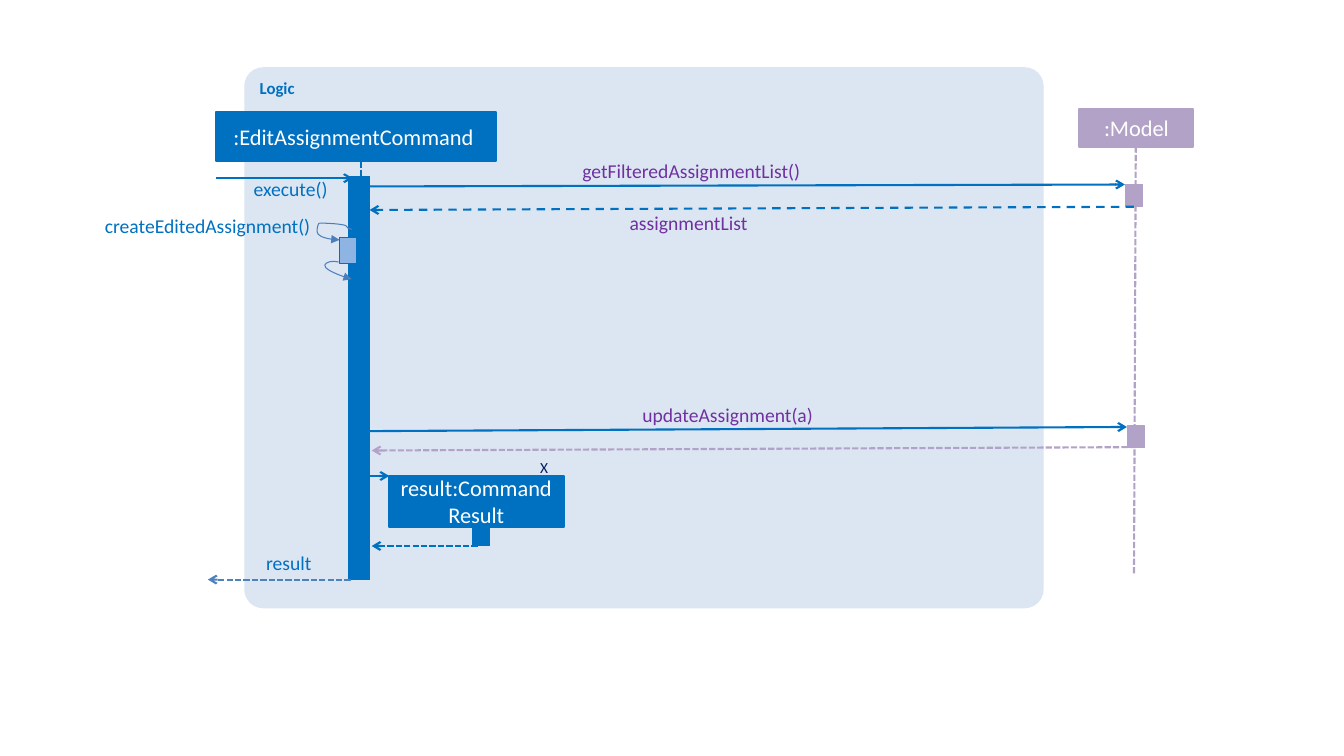
from pptx import Presentation
from pptx.dml.color import RGBColor
from pptx.enum import dml, shapes, text
from pptx.oxml.ns import qn
from pptx.util import Pt
from lxml import etree


class Theme:
    font = "Calibri"
    blue, purple, violet = "0070C0", "B3A2C7", "7030A0"
    steel, curve, sky = "4F81BD", "4B7EBC", "8EB4E3"
    pale, navy, white = "DCE6F2", "002060", "FFFFFF"
    head, label, frame, mark = 16, 14, 12, 11


RECT = shapes.MSO_SHAPE.RECTANGLE
SYS, DASH = dml.MSO_LINE.SQUARE_DOT, dml.MSO_LINE.DASH
LEFT, MID, RIGHT = text.PP_ALIGN.LEFT, text.PP_ALIGN.CENTER, text.PP_ALIGN.RIGHT

deck = Presentation()
deck.slide_width, deck.slide_height = Pt(960), Pt(540)
slide = deck.slides.add_slide(deck.slide_layouts[6])


def write(shape, words, size, color, align):
    para = shape.text_frame.paragraphs[0]
    para.alignment = align
    run = para.add_run()
    run.text = words
    run.font.name, run.font.size = Theme.font, Pt(size)
    run.font.color.rgb = RGBColor.from_string(color)
    return run


def link(x1, y1, x2, y2, color, width=1.5, dash=None, tip=None, bend=None):
    """Draw a line; tip is the arrowhead at its end, bend the curve's adjustment in percent."""
    kind = shapes.MSO_CONNECTOR
    line = slide.shapes.add_connector(
        kind.STRAIGHT if bend is None else kind.CURVE, Pt(x1), Pt(y1), Pt(x2), Pt(y2))
    line.line.color.rgb = RGBColor.from_string(color)
    line.line.width = Pt(width)
    if dash:
        line.line.dash_style = dash
    props = line._element.spPr
    if tip:
        etree.SubElement(props.find(qn("a:ln")), qn("a:tailEnd"), type=tip)
    etree.SubElement(props, qn("a:effectLst"))
    if bend is not None:
        guides = props.find(qn("a:prstGeom")).find(qn("a:avLst"))
        etree.SubElement(guides, qn("a:gd"), name="adj1", fmla=f"val {bend * 1000:.0f}")
    return line


# Logic frame
frame = slide.shapes.add_shape(
    shapes.MSO_SHAPE.ROUNDED_RECTANGLE, Pt(174.5), Pt(48), Pt(571), Pt(386.5))
frame.adjustments[0] = 0.035
frame.shadow.inherit = False
frame.fill.solid()
frame.fill.fore_color.rgb = RGBColor.from_string(Theme.pale)
frame.line.fill.background()
frame.text_frame.vertical_anchor = text.MSO_ANCHOR.TOP
write(frame, "Logic", Theme.frame, Theme.blue, LEFT).font.bold = True

# Lifelines
link(257.8, 115.2, 257.8, 167, Theme.blue, dash=SYS)
link(811.3, 104.6, 810, 411, Theme.purple, dash=SYS)

# Object heads and activation bars
for x, y, w, h, fill, edge, words in (
    (154.3, 80, 200, 35.2, Theme.blue, Theme.blue, ":EditAssignmentCommand "),
    (771, 77.6, 81.5, 27.3, Theme.purple, Theme.purple, ":Model"),
    (277.8, 340, 124.8, 36.3, Theme.blue, Theme.blue, "result:Command Result"),
    (249, 126, 15, 288, Theme.blue, Theme.blue, ""),
    (804, 131.8, 12.4, 15.8, Theme.purple, Theme.purple, ""),
    (805.5, 304, 12.4, 15.8, Theme.purple, Theme.purple, ""),
    (337.6, 376.5, 12.4, 13.5, Theme.blue, Theme.blue, ""),
    (242.6, 170, 12, 18.3, Theme.sky, Theme.blue, ""),
):
    box = slide.shapes.add_shape(RECT, Pt(x), Pt(y), Pt(w), Pt(h))
    box.shadow.inherit = False
    box.fill.solid()
    box.fill.fore_color.rgb = RGBColor.from_string(fill)
    box.line.color.rgb = RGBColor.from_string(edge)
    box.line.width = Pt(1.5 if words else 0.75)
    if words:
        box.text_frame.vertical_anchor = text.MSO_ANCHOR.MIDDLE
        write(box, words, Theme.head, Theme.white, MID)

# Messages, each from sender to receiver
for x1, y1, x2, y2, color, dash in (
    (154.3, 127.3, 252, 127.3, Theme.blue, None),
    (264, 133.2, 803.5, 131.8, Theme.blue, None),
    (810, 147.7, 264, 150, Theme.blue, DASH),
    (257, 308, 805, 305, Theme.blue, None),
    (811.5, 319.4, 265.5, 321.8, Theme.purple, SYS),
    (257, 340, 278, 340, Theme.blue, None),
    (341.3, 390, 265.5, 390, Theme.blue, SYS),
    (250.5, 414, 148.5, 414, Theme.steel, SYS),
):
    link(x1, y1, x2, y2, color, dash=dash, tip="arrow")

# Self call loop
link(251.3, 163.8, 228.2, 159.4, Theme.curve, 0.75, bend=16.6)
link(228.2, 159.4, 242.6, 171.4, Theme.curve, 0.75, tip="triangle", bend=-12)
back = link(240.5, 188.6, 252.7, 198, Theme.curve, 0.75, tip="triangle", bend=-74.3)
back._element.spPr.xfrm.set("rot", str(15 * 60000))

# Message labels
for x, y, w, words, color, align in (
    (121.7, 126.7, 112.3, "execute()", Theme.blue, RIGHT),
    (69.8, 152.6, 152, "createEditedAssignment()", Theme.blue, RIGHT),
    (162.7, 393.8, 59.8, "result", Theme.blue, RIGHT),
    (414, 113.8, 157.7, "getFilteredAssignmentList()", Theme.violet, RIGHT),
    (422, 150.5, 139.7, "assignmentList", Theme.violet, MID),
    (436.3, 288, 167, "updateAssignment(a)", Theme.violet, MID),
):
    note = slide.shapes.add_textbox(Pt(x), Pt(y), Pt(w), Pt(17))
    body = note.text_frame
    body.word_wrap = True
    body.margin_left = body.margin_right = body.margin_top = body.margin_bottom = 0
    write(note, words, Theme.label, color, align)

# Destruction mark
mark = slide.shapes.add_textbox(Pt(378.7), Pt(324), Pt(20), Pt(20.6))
mark.text_frame.word_wrap = False
write(mark, "X", Theme.mark, Theme.navy, LEFT)

deck.save("out.pptx")
